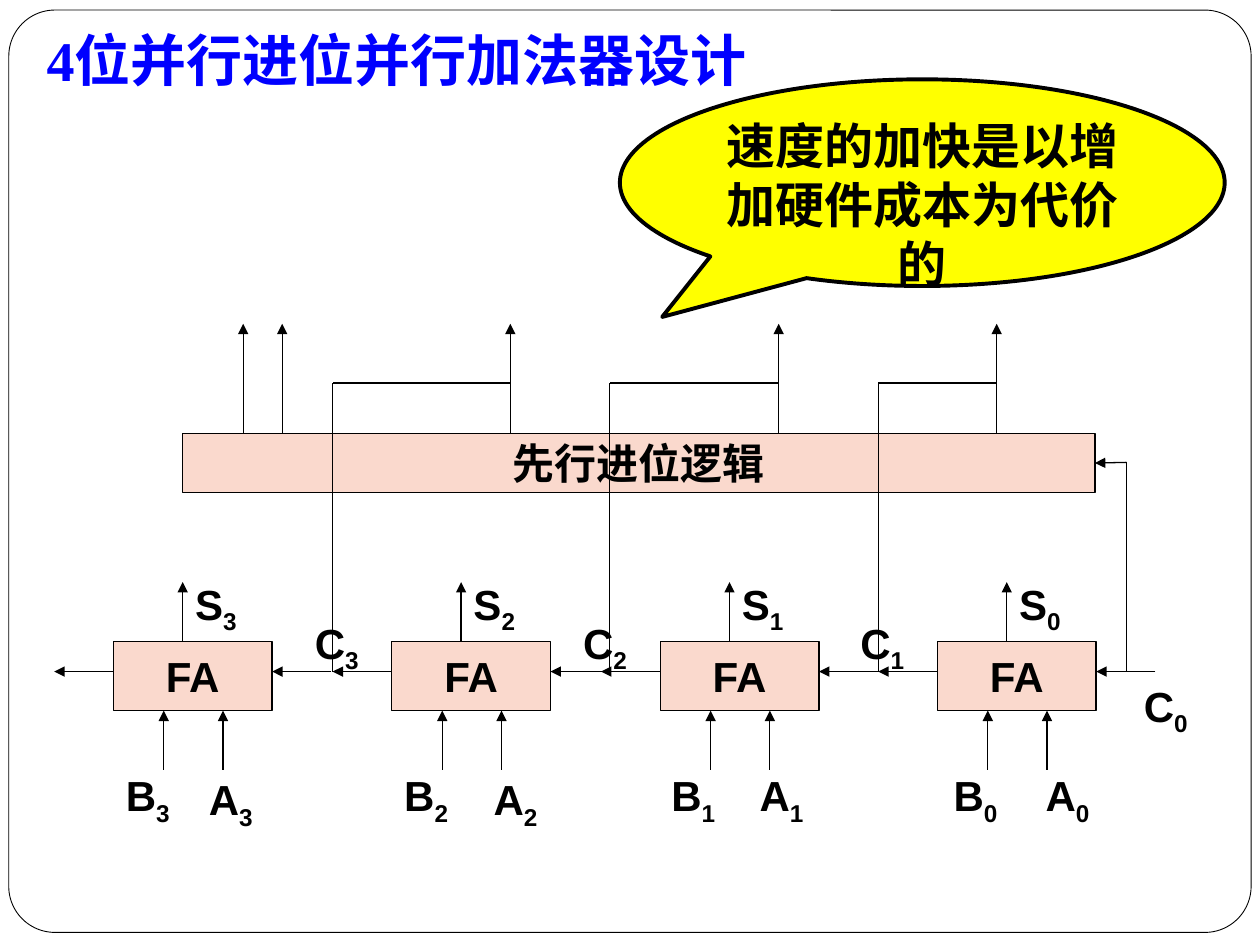
from dataclasses import dataclass

from lxml import etree
from pptx import Presentation
from pptx import util as u
from pptx.dml.color import RGBColor
from pptx.enum import shapes, text
from pptx.oxml import ns

INK = {"black": "000000", "blue": "0000FF", "white": "FFFFFF",
       "yellow": "FFFF00", "peach": "FAD9CD"}
KIND = shapes.MSO_SHAPE
MID = text.PP_ALIGN.CENTER


@dataclass
class Adder:
    bit: int
    left: float
    a_pos: tuple[float, float]
    b_left: float
    c_pos: tuple[float, float]


@dataclass
class Tap:
    """A carry from the logic box, brought down to the next adder."""
    top_x: float
    low_x: float


ADDERS = [
    Adder(0, 7.44, (8.2, 6.06), 7.47, (8.98, 5.35)),
    Adder(1, 5.24, (5.93, 6.06), 5.23, (6.73, 4.85)),
    Adder(2, 3.11, (3.82, 6.09), 3.11, (4.53, 4.85)),
    Adder(3, 0.9, (1.56, 6.09), 0.9, (2.4, 4.85)),
]
TAPS = [Tap(7.91, 6.97), Tap(6.18, 4.84), Tap(4.05, 2.64)]
GROUP_X = [2.24, 1.93]

BOX_W, BOX_H, BOX_Y = 1.26, 0.55, 5.09
STUB = 0.47
RAIL_Y = 5.33
LOGIC_Y, TAP_Y, OUT_Y = 3.44, 3.04, 2.57
FEED_X = 8.94


def color(name: str) -> RGBColor:
    return RGBColor.from_string(INK[name])


def style(frame, size: float, ink: str = "black", face: str = "Arial") -> None:
    for run in frame.paragraphs[0].runs:
        font = run.font
        font.name, font.size, font.bold = face, u.Pt(size), True
        font.color.rgb = color(ink)


def shape(slide, kind, x: float, y: float, w: float, h: float,
          fill: str, line: float = 0.75):
    item = slide.shapes.add_shape(kind, *map(u.Inches, (x, y, w, h)))
    item.shadow.inherit = False
    item.fill.solid()
    item.fill.fore_color.rgb = color(fill)
    item.line.color.rgb = color("black")
    item.line.width = u.Pt(line)
    return item


def block(slide, x: float, y: float, w: float, h: float, words: str):
    item = shape(slide, KIND.RECTANGLE, x, y, w, h, "peach")
    frame = item.text_frame
    frame.text = words
    frame.word_wrap = False
    frame.vertical_anchor = text.MSO_ANCHOR.MIDDLE
    frame.paragraphs[0].alignment = MID
    style(frame, 24)
    return item


def wire(slide, x1: float, y1: float, x2: float, y2: float,
         arrow: bool = False):
    item = slide.shapes.add_connector(
        shapes.MSO_CONNECTOR.STRAIGHT, *map(u.Inches, (x1, y1, x2, y2)))
    item.line.color.rgb = color("black")
    item.line.width = u.Pt(0.75)
    if arrow:
        line = item.line._get_or_add_ln()
        etree.SubElement(line, ns.qn("a:tailEnd"), type="triangle")
    etree.SubElement(item._element.spPr, ns.qn("a:effectLst"))
    return item


def label(slide, x: float, y: float, name: str, bit: int) -> None:
    box = slide.shapes.add_textbox(*map(u.Inches, (x, y, 0.8, 0.56)))
    frame = box.text_frame
    frame.word_wrap = True
    frame.text = name
    sub = frame.paragraphs[0].add_run()
    sub.text = str(bit)
    style(frame, 24)
    sub.font._element.set("baseline", "-25000")


def draw_adder(slide, unit: Adder) -> None:
    x, low = unit.left, BOX_Y + BOX_H
    right = x + BOX_W
    block(slide, x, BOX_Y, BOX_W, BOX_H, "FA")
    wire(slide, right + STUB, RAIL_Y, right, RAIL_Y, True)
    wire(slide, x, RAIL_Y, x - STUB, RAIL_Y, True)
    wire(slide, x + 0.55, BOX_Y, x + 0.55, BOX_Y - STUB, True)
    for shift in (0.4, 0.87):
        wire(slide, x + shift, low + STUB, x + shift, low, True)
    label(slide, x + 0.55, 4.54, "S", unit.bit)
    label(slide, *unit.a_pos, "A", unit.bit)
    label(slide, unit.b_left, 6.06, "B", unit.bit)
    label(slide, *unit.c_pos, "C", unit.bit)


def draw_tap(slide, tap: Tap) -> None:
    wire(slide, tap.top_x, TAP_Y, tap.low_x, TAP_Y)
    wire(slide, tap.low_x, TAP_Y, tap.low_x, RAIL_Y)


def draw_title(slide) -> None:
    title = slide.shapes.title
    title.left, title.top, title.width, title.height = map(
        u.Inches, (0.27, 0.21, 7.3, 0.47))
    frame = title.text_frame
    frame.text = "4位并行进位并行加法器设计"
    frame.auto_size = text.MSO_AUTO_SIZE.NONE
    frame.vertical_anchor = text.MSO_ANCHOR.TOP
    para = frame.paragraphs[0]
    para.alignment = text.PP_ALIGN.LEFT
    para.line_spacing = 0.9
    style(frame, 32, "blue", "Times New Roman")


def draw_callout(slide) -> None:
    note = shape(slide, KIND.OVAL_CALLOUT, 4.92, 0.63, 4.8, 1.64,
                 "yellow", 2.25)
    note.adjustments[0], note.adjustments[1] = -0.43, 0.65
    frame = note.text_frame
    frame.text = "速度的加快是以增加硬件成本为代价的"
    frame.word_wrap = True
    frame.vertical_anchor = text.MSO_ANCHOR.TOP
    frame.paragraphs[0].alignment = MID
    style(frame, 28)


def main() -> None:
    deck = Presentation()
    deck.slide_width, deck.slide_height = u.Inches(10), u.Inches(7.5)
    slide = deck.slides.add_slide(deck.slide_layouts[5])

    # Page frame, sent behind the title
    page = shape(slide, KIND.ROUNDED_RECTANGLE, 0.07, 0.08, 9.86, 7.32,
                 "white", 0.5)
    page.adjustments[0] = 0.05
    slide.shapes._spTree.insert(2, page._element)

    draw_title(slide)
    draw_callout(slide)

    # Carry logic and the adders below it
    logic = block(slide, 1.45, LOGIC_Y, 7.24, 0.47, "先行进位逻辑")
    for unit in ADDERS:
        draw_adder(slide, unit)

    # Outputs of the logic and carries led back down
    for x in [tap.top_x for tap in TAPS] + GROUP_X:
        wire(slide, x, LOGIC_Y, x, OUT_Y, True)
    for tap in TAPS:
        draw_tap(slide, tap)

    # First carry fed up to the logic
    wire(slide, FEED_X, RAIL_Y, FEED_X, 3.67)
    feed = wire(slide, FEED_X, 3.67, 8.69, 3.67, True)
    feed.end_connect(logic, 3)

    deck.save("out.pptx")


if __name__ == "__main__":
    main()
